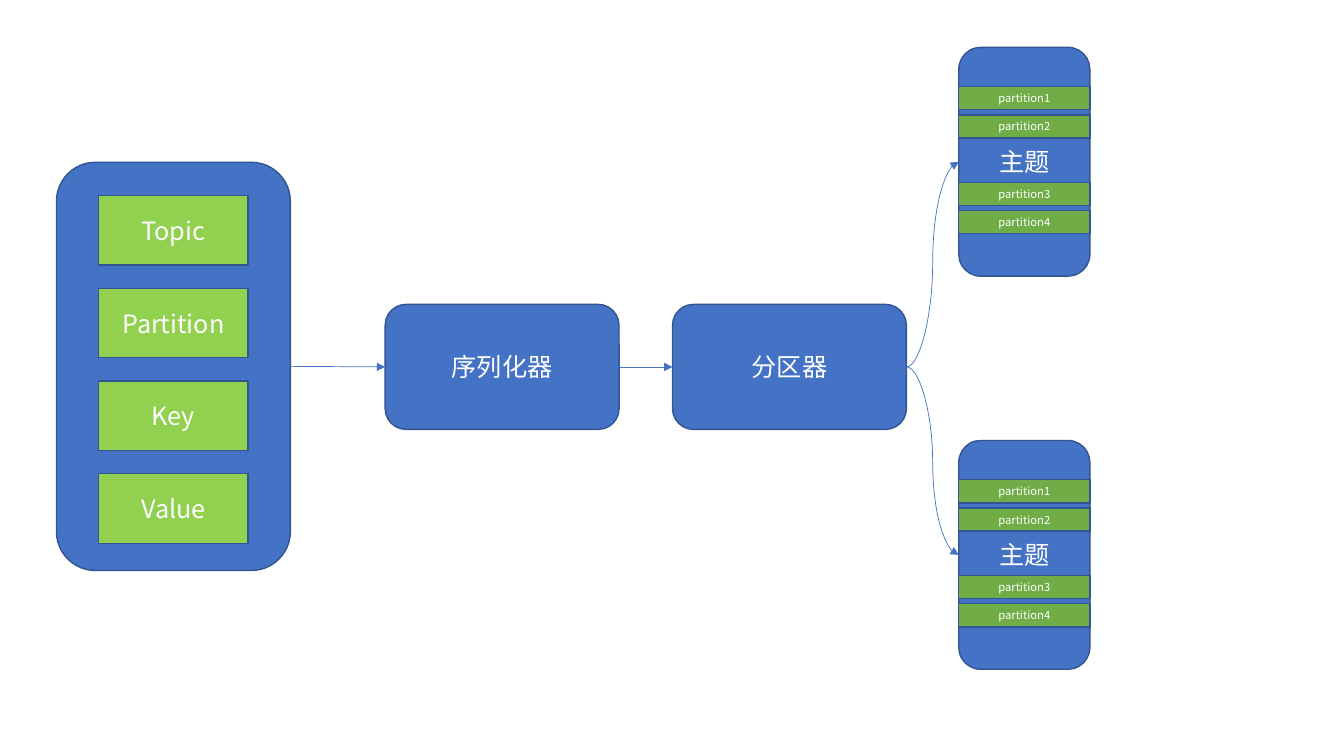
from lxml import etree
from pptx import Presentation
from pptx import util as u
from pptx.dml.color import RGBColor
from pptx.enum import shapes, text
from pptx.oxml import ns

BLUE = RGBColor(0x44, 0x72, 0xC4)
EDGE = RGBColor(0x32, 0x54, 0x91)
LIME = RGBColor(0x92, 0xD0, 0x50)
GREEN = RGBColor(0x70, 0xAD, 0x47)
WHITE = RGBColor(0xFF, 0xFF, 0xFF)
ROUND = shapes.MSO_SHAPE.ROUNDED_RECTANGLE
RECT = shapes.MSO_SHAPE.RECTANGLE
LINE = shapes.MSO_CONNECTOR.STRAIGHT
CURVE = shapes.MSO_CONNECTOR.CURVE
RIGHT, LEFT = 3, 1


class Flow:
    font = "Noto Sans CJK SC"

    def __init__(self, slide):
        self.slide = slide

    def box(self, kind, left, top, width, height, fill, label="", size=18):
        box = self.slide.shapes.add_shape(
            kind, *map(u.Inches, (left, top, width, height)))
        box.shadow.inherit = False
        box.fill.solid()
        box.fill.fore_color.rgb = fill
        box.line.color.rgb = EDGE
        box.line.width = u.Pt(1)
        if label:
            self.label(box.text_frame, label, size)
        return box

    def label(self, frame, label, size):
        frame.text = label
        frame.word_wrap = True
        frame.vertical_anchor = text.MSO_ANCHOR.MIDDLE
        line = frame.paragraphs[0]
        line.alignment = text.PP_ALIGN.CENTER
        font = line.runs[0].font
        font.size = u.Pt(size)
        font.color.rgb = WHITE
        font.name = self.font
        props = line.runs[0]._r.get_or_add_rPr()
        etree.SubElement(props, ns.qn("a:ea"), typeface=self.font)

    def arrow(self, start, end, kind=LINE):
        link = self.slide.shapes.add_connector(kind, 0, 0, 0, 0)
        link.begin_connect(start, RIGHT)
        link.end_connect(end, LEFT)
        link.line.color.rgb = BLUE
        link.line.width = u.Pt(0.5)
        props = link._element.spPr
        etree.SubElement(props.find(ns.qn("a:ln")), ns.qn("a:tailEnd"),
                         type="triangle")
        etree.SubElement(props, ns.qn("a:effectLst"))

    def topic(self, top):
        left, width = 9.51, 1.3
        topic = self.box(ROUND, left, top, width, 2.27, BLUE, "主题")
        for num, drop in enumerate((0.39, 0.67, 1.34, 1.62), 1):
            self.box(RECT, left, top + drop, width, 0.23, GREEN,
                     f"partition{num}", 8)
        return topic


def main():
    deck = Presentation()
    deck.slide_width = u.Inches(13.33)
    deck.slide_height = u.Inches(7.5)
    flow = Flow(deck.slides.add_slide(deck.slide_layouts[6]))

    record = flow.box(ROUND, 0.56, 1.61, 2.32, 4.05, BLUE)
    for row, label in enumerate(("Topic", "Partition", "Key", "Value")):
        flow.box(RECT, 0.98, 1.94 + row * 0.92, 1.48, 0.69, LIME, label)

    coder, router = [
        flow.box(ROUND, left, 3.02, 2.32, 1.24, BLUE, label)
        for left, label in ((3.82, "序列化器"), (6.67, "分区器"))]
    flow.arrow(record, coder)
    flow.arrow(coder, router)

    for topic in [flow.topic(top) for top in (0.47, 4.37)]:
        flow.arrow(router, topic, CURVE)

    deck.save("out.pptx")


if __name__ == "__main__":
    main()
